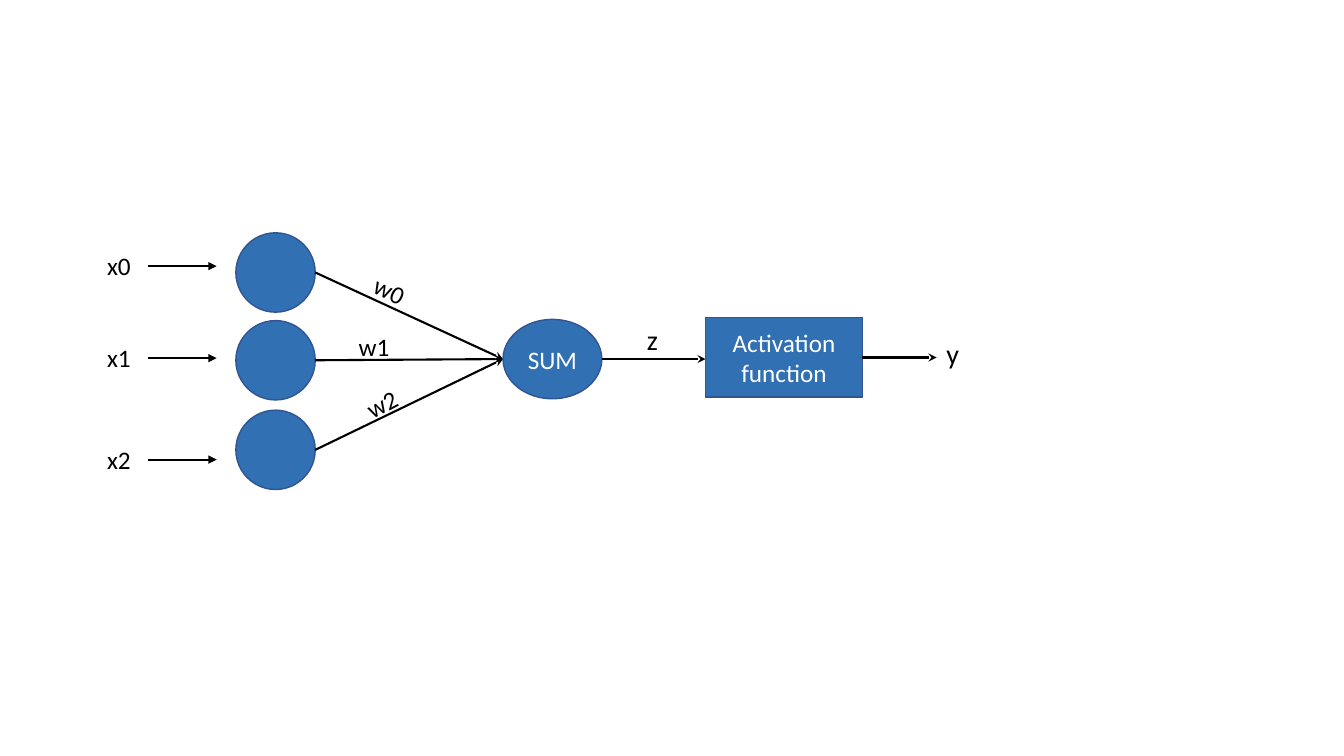
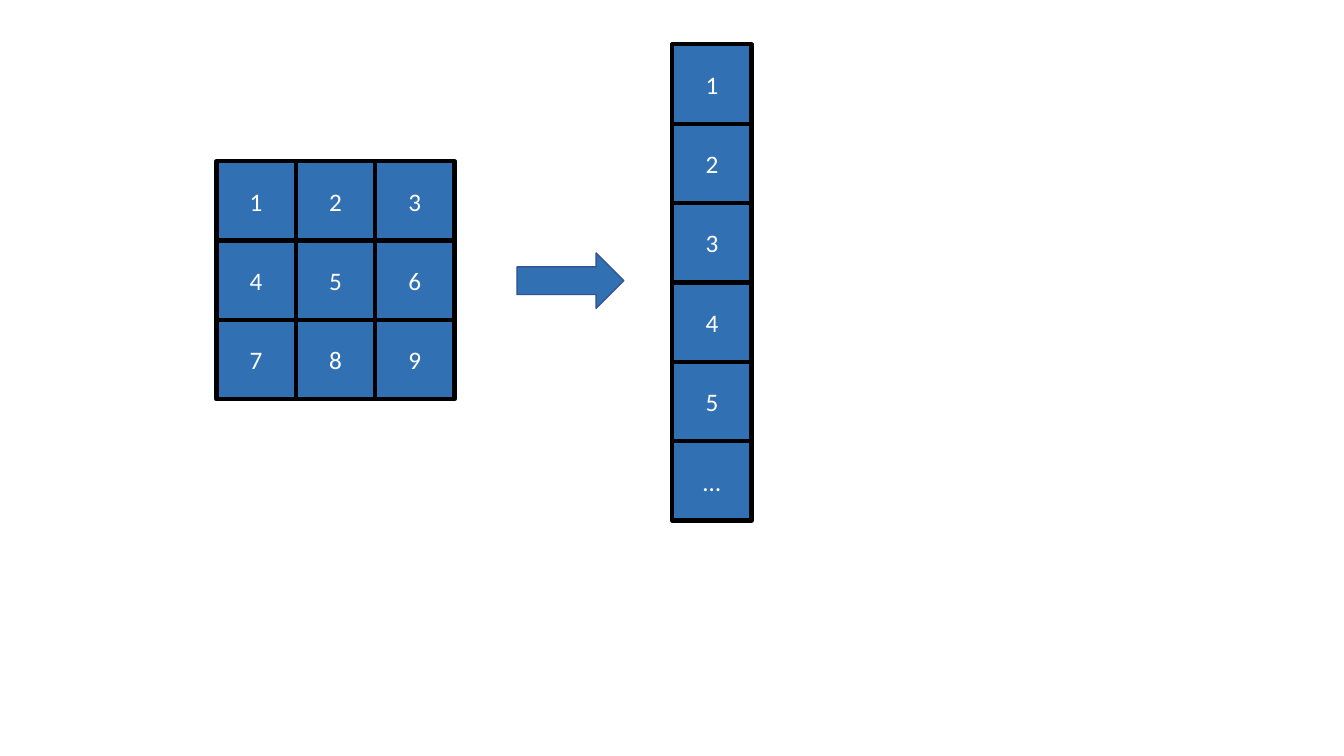
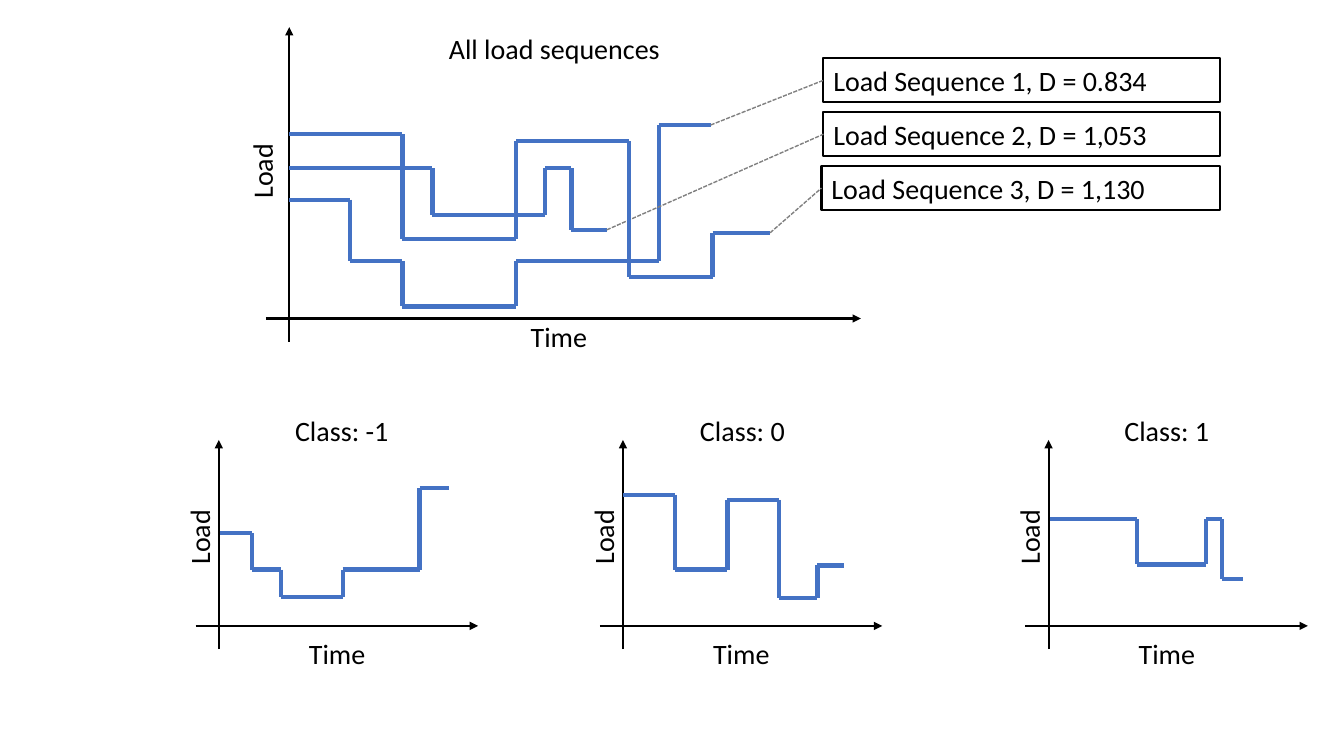
from dataclasses import dataclass

from lxml.etree import SubElement
from pptx import Presentation
from pptx.dml.color import RGBColor as RGB
from pptx.enum.dml import MSO_LINE_DASH_STYLE as DASH
from pptx.enum.shapes import MSO_CONNECTOR as CXN, MSO_SHAPE as SHAPE
from pptx.enum.text import MSO_ANCHOR as ANCHOR, MSO_AUTO_SIZE as AUTO, PP_ALIGN as ALIGN
from pptx.oxml.ns import qn
from pptx.util import Pt


@dataclass(frozen=True)
class Theme:
    font: str = "Calibri"
    body: int = 18
    label: int = 20
    fill: RGB = RGB(0x30, 0x70, 0xB3)
    edge: RGB = RGB(0x32, 0x54, 0x91)
    series: RGB = RGB(0x44, 0x72, 0xC4)
    leader: RGB = RGB(0x80, 0x80, 0x80)
    ink: RGB = RGB(0, 0, 0)
    paper: RGB = RGB(255, 255, 255)
    thin: float = 1
    medium: float = 1.5
    thick: float = 3


T = Theme()
UNIT = 56.7
BODY_H = 29.1
LABEL_H = 31.5


def write(tf, text, size=T.body, color=T.ink, align=ALIGN.LEFT, anchor=ANCHOR.TOP, wrap=True):
    tf.word_wrap = wrap
    tf.vertical_anchor = anchor
    p = tf.paragraphs[0]
    p.alignment = align
    r = p.add_run()
    r.text = text
    r.font.name = T.font
    r.font.size = Pt(size)
    r.font.color.rgb = color


def label(s, text, x, y, w, h, rotation=0, **fmt):
    sp = s.shapes.add_textbox(Pt(x), Pt(y), Pt(w), Pt(h))
    sp.rotation = rotation
    write(sp.text_frame, text, **fmt)
    sp.text_frame.auto_size = AUTO.SHAPE_TO_FIT_TEXT
    return sp


def centred_label(s, text, cx, cy, w, **fmt):
    label(s, text, cx - w / 2, cy - LABEL_H / 2, w, LABEL_H,
          size=T.label, align=ALIGN.CENTER, **fmt)


def block(s, kind, x, y, w, h, text="", edge=T.edge, weight=T.thin):
    sp = s.shapes.add_shape(kind, Pt(x), Pt(y), Pt(w), Pt(h))
    sp.shadow.inherit = False
    sp.fill.solid()
    sp.fill.fore_color.rgb = T.fill
    sp.line.color.rgb = edge
    sp.line.width = Pt(weight)
    if text:
        write(sp.text_frame, text, color=T.paper, align=ALIGN.CENTER, anchor=ANCHOR.MIDDLE)


def line(s, start, end, color=T.ink, weight=T.medium, head=None, dash=None):
    c = s.shapes.add_connector(CXN.STRAIGHT, *map(Pt, start + end))
    c.line.color.rgb = color
    c.line.width = Pt(weight)
    if dash:
        c.line.dash_style = dash
    if head:
        SubElement(c.line._get_or_add_ln(), qn("a:tailEnd"), type=head)
    SubElement(c._element.spPr, qn("a:effectLst"))


def cells(s, x, y, values, columns):
    for i, value in enumerate(values):
        row, col = divmod(i, columns)
        block(s, SHAPE.RECTANGLE, x + col * UNIT, y + row * UNIT, UNIT, UNIT,
              value, edge=T.ink, weight=T.thick)


def axes(s, origin, top, right, load, time):
    x, y = origin
    overhang = 16.6
    line(s, (x, y + overhang), (x, top), head="triangle")
    line(s, (x - overhang, y), (right, y), head="triangle")
    centred_label(s, "Load", x + load[0], y + load[1], 128, rotation=270)
    centred_label(s, "Time", x + time[0], y + time[1], 64)


def steps(s, x, levels):
    last_y = None
    for y, end in levels:
        if last_y is not None:
            line(s, (x, last_y), (x, y), T.series, T.thick)
        line(s, (x, y), (end, y), T.series, T.thick)
        x, last_y = end, y
    return x, last_y


def callout(s, text, x, y, right, target):
    sp = label(s, text, x, y, right - x, LABEL_H, size=T.label)
    sp.line.color.rgb = T.ink
    sp.line.width = Pt(T.medium)
    line(s, target, (x, y + LABEL_H / 2), T.leader, T.thin, dash=DASH.SQUARE_DOT)


def neuron_slide(s):
    node_x, sum_x, sum_w, mid = 168.5, 359.3, 70.6, 256.5
    inputs = [
        ("x0", 190.1, 166.3, "w0", 259.2, 198, 59.8, 25.2),
        ("x1", 255.8, 229, "w1", 249.1, 233.3, 67, 0),
        ("x2", 328.3, 293, "w2", 252.7, 266.4, 68.4, 332.2),
    ]
    for name, y, node_y, weight, wx, wy, ww, angle in inputs:
        label(s, name, 69.1, y - BODY_H / 2, 31.7, BODY_H, wrap=False, align=ALIGN.CENTER)
        line(s, (105.8, y), (154.8, y), head="triangle")
        block(s, SHAPE.OVAL, node_x, node_y, UNIT, UNIT)
        line(s, (node_x + UNIT, node_y + UNIT / 2), (sum_x, mid), head="stealth")
        label(s, weight, wx, wy, ww, BODY_H, rotation=angle)
    block(s, SHAPE.OVAL, sum_x, mid - UNIT / 2, sum_w, UNIT, "SUM")
    line(s, (sum_x + sum_w, mid), (504, mid), head="stealth")
    label(s, "z", 455, 226.8, 37.4, LABEL_H, size=T.label)
    block(s, SHAPE.RECTANGLE, 504, 226.8, 112, UNIT, "Activation function")
    line(s, (616, 255.4), (669, 255.4), head="stealth")
    label(s, "y", 669, 236.9, 21.6, LABEL_H, size=T.label)


def flatten_slide(s):
    cells(s, 154.6, 115.2, "123456789", 3)
    cells(s, 480.2, 31.7, "12345…", 1)
    block(s, SHAPE.RIGHT_ARROW, 369.3, 180.7, 76.3, 39.6)


def sequences_slide(s):
    origin = (206.6, 227.5)
    axes(s, origin, 19.4, 614.9, load=(-19.4, -105.1), time=(192.6, 12.9))
    centred_label(s, "All load sequences", 396, 34.5, 167, wrap=False)
    sequences = [
        ("Load Sequence 1, D = 0.834", 588.2,
         [(142.6, 249.8), (186.5, 287.5), (218.9, 368.6), (186.5, 470.5), (89.3, 507.6)]),
        ("Load Sequence 2, D = 1,053", 588.2,
         [(120.2, 308.9), (153.4, 389.5), (120.2, 408.2), (164.2, 433.4)]),
        ("Load Sequence 3, D = 1,130", 586.8,
         [(95.8, 287.5), (170.6, 368.6), (100.8, 449.3), (198, 509), (166.3, 550.1)]),
    ]
    for i, (text, x, levels) in enumerate(sequences):
        end = steps(s, origin[0], levels)
        callout(s, text, x, 41.6 + 38.5 * i, 871.2, end)

    classes = [
        ("Class: -1", 156.3, 244.1, 157,
         [(380.9, 180), (406.8, 200.9), (426.2, 244.8), (406.8, 299.7), (348.5, 320.4)]),
        ("Class: 0", 445, 530.3, 445,
         [(353.5, 482.4), (406.8, 519.6), (357.1, 556.6), (427, 583.9), (403.9, 602.6)]),
        ("Class: 1", 749, 833.4, 750.2,
         [(370.8, 812.2), (403.2, 861.3), (370.8, 872.6), (413.3, 887.8)]),
    ]
    for title, x, title_x, start, levels in classes:
        axes(s, (x, 447.1), 314.3, x + 185.2, load=(-14.1, -63.3), time=(84.5, 19.4))
        centred_label(s, title, title_x, 307.4, 82, wrap=False)
        steps(s, start, levels)


def main():
    prs = Presentation()
    prs.slide_width, prs.slide_height = Pt(960), Pt(540)
    for build in (neuron_slide, flatten_slide, sequences_slide):
        build(prs.slides.add_slide(prs.slide_layouts[6]))
    prs.save("out.pptx")


if __name__ == "__main__":
    main()
